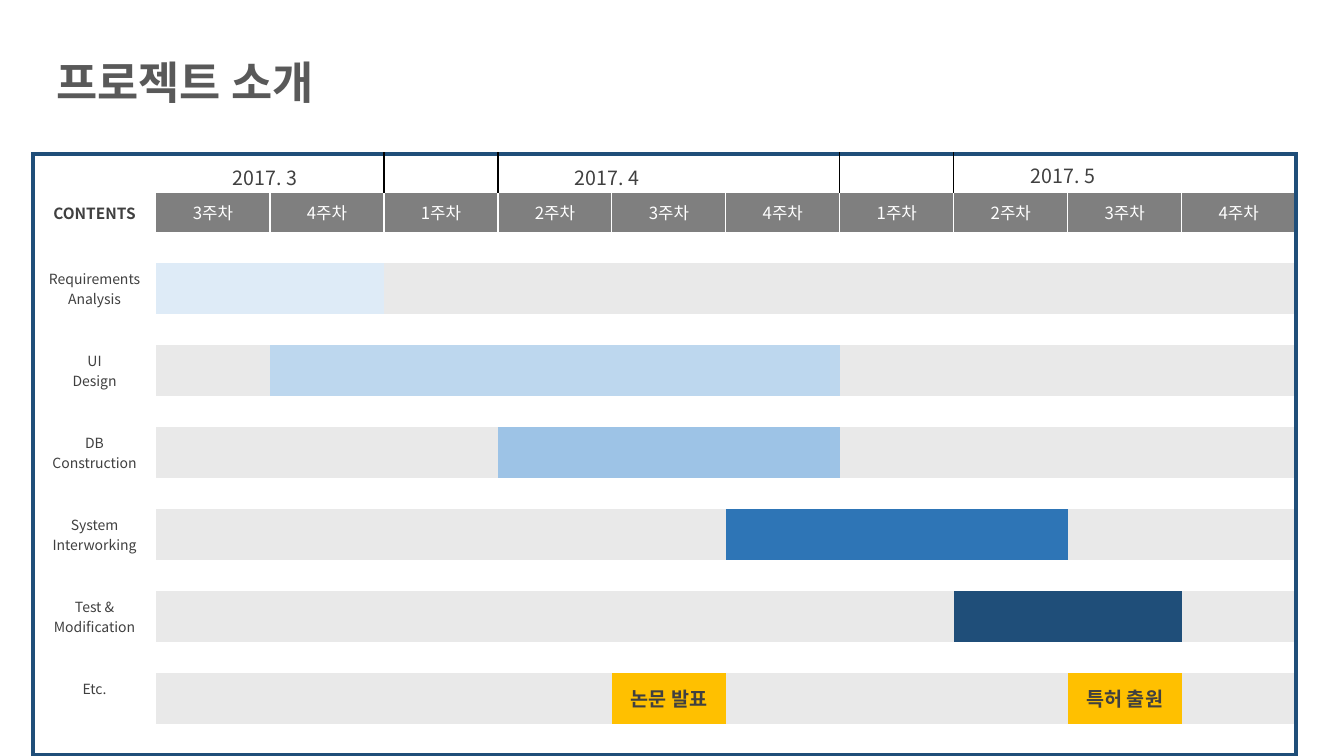
"""Project schedule slide: a ten-week Gantt table under three month labels."""
from lxml import etree
from pptx import Presentation
from pptx import util as u
from pptx.dml.color import RGBColor
from pptx.enum import text
from pptx.oxml import ns

PX = 914400 / 100.8
COLORS = {"navy": "1F4E79", "blue": "2E75B6", "sky": "9DC3E6", "light": "BDD7EE",
          "pale": "DEEBF7", "gold": "FFC000", "track": "E9E9E9", "header": "7F7F7F",
          "white": "FFFFFF", "black": "000000", "ink": "404040", "title": "595959"}
KOREAN = "Noto Sans CJK KR"
WEEKS = ["3주차", "4주차"] + ["1주차", "2주차", "3주차", "4주차"] * 2
TASKS = [(["Requirements", "Analysis"], "pale", range(1, 3)),
         (["UI", "Design"], "light", range(2, 7)),
         (["DB", "Construction"], "sky", range(4, 7)),
         (["System", "Interworking"], "blue", range(6, 9)),
         (["Test & Modification"], "navy", range(8, 10)),
         (["Etc."], "gold", (5, 9))]
MILESTONES = {5: "논문 발표", 9: "특허 출원"}
MONTHS = [("2017. 3", 209, 151), ("2017. 4", 551, 151), ("2017. 5", 1007, 149)]
MONTH_ENDS = (2, 6)
HEADER_H, GAP_H, BAR_H = 39, 31, 51
LABEL_W, WEEK_W = 123, 114


def px(*lengths):
    return [u.Emu(round(n * PX)) for n in lengths]


def write(frame, lines, size, color, bold=False, latin=KOREAN,
          align=text.PP_ALIGN.CENTER, spacing=None):
    for index, line in enumerate(lines):
        paragraph = frame.add_paragraph() if index else frame.paragraphs[0]
        paragraph.alignment = align
        paragraph.line_spacing = spacing
        run = paragraph.add_run()
        run.text = line
        run.font.size = u.Pt(size)
        run.font.bold = bold
        run.font.name = latin
        run.font.color.rgb = RGBColor.from_string(COLORS[color])
        east_asian = etree.SubElement(run.font._element, ns.qn("a:ea"))
        east_asian.set("typeface", KOREAN)


prs = Presentation()
prs.slide_width, prs.slide_height = px(1344, 756)
slide = prs.slides.add_slide(prs.slide_layouts[5])

heading = slide.shapes.title
heading.left, heading.top, heading.width, heading.height = px(46, 28, 307, 81)
heading.text_frame.auto_size = text.MSO_AUTO_SIZE.NONE
heading.text_frame.vertical_anchor = text.MSO_ANCHOR.MIDDLE
write(heading.text_frame, ["프로젝트 소개"], 32, "title", True, "Arial",
      text.PP_ALIGN.LEFT, 1.5)

heights = [HEADER_H] * 2 + [GAP_H, BAR_H] * len(TASKS) + [GAP_H]
widths = [LABEL_W] + [WEEK_W] * len(WEEKS)
last_row, last_col = len(heights) - 1, len(widths) - 1
schedule = slide.shapes.add_table(len(heights), len(widths),
                                  *px(33, 154, sum(widths), sum(heights))).table
schedule.first_row = schedule.horz_banding = False
style = schedule._tbl.tblPr.find(ns.qn("a:tableStyleId"))
style.text = "{2D5ABB26-0587-4C30-8999-92F81FD0307C}"
for column, width in zip(schedule.columns, px(*widths)):
    column.width = width
for row, height in zip(schedule.rows, px(*heights)):
    row.height = height

for r in range(last_row + 1):
    for c in range(last_col + 1):
        cell = schedule.cell(r, c)
        cell.vertical_anchor = text.MSO_ANCHOR.MIDDLE
        fill, lines, size, ink, bold = None, [], 10, "ink", False
        edges = {}
        if r == 0:
            if c in MONTH_ENDS:
                edges["lnR"] = ("black", 1)
            if c - 1 in MONTH_ENDS:
                edges["lnL"] = ("black", 1)
            edges["lnT"] = ("navy", 3)
        elif r == 1 and c == 0:
            lines, size, bold = ["CONTENTS"], 11, True
        elif r == 1:
            fill, lines, size, ink = "header", [WEEKS[c - 1]], 12, "white"
            edges["lnR"] = ("white", 1)
            if c > 1:
                edges["lnL"] = ("white", 1)
        elif r % 2:
            label, bar, span = TASKS[(r - 3) // 2]
            if c == 0:
                lines = label
                if label == ["Etc."]:
                    cell.vertical_anchor = text.MSO_ANCHOR.TOP
            else:
                fill = bar if c in span else "track"
                if bar == "gold" and c in MILESTONES:
                    lines, size, bold = [MILESTONES[c]], 14, True
        if c == 0:
            edges["lnL"] = ("navy", 3)
        if c == last_col:
            edges["lnR"] = ("navy", 3)
        if r == last_row:
            edges["lnB"] = ("navy", 3)

        properties = cell._tc.get_or_add_tcPr()
        for side in ("lnL", "lnR", "lnT", "lnB"):
            if side in edges:
                color, points = edges[side]
                line = etree.SubElement(properties, ns.qn(f"a:{side}"), w=str(u.Pt(points)))
                solid = etree.SubElement(line, ns.qn("a:solidFill"))
                etree.SubElement(solid, ns.qn("a:srgbClr"), val=COLORS[color])
        if fill:
            cell.fill.solid()
            cell.fill.fore_color.rgb = RGBColor.from_string(COLORS[fill])
        else:
            cell.fill.background()

        if lines:
            write(cell.text_frame, lines, size, ink, bold)
        else:
            etree.SubElement(cell.text_frame.paragraphs[0]._p,
                             ns.qn("a:endParaRPr"), sz="800")
        if r == 1 and c or not lines:
            cell.margin_left = cell.margin_right = 0
            cell.margin_top = cell.margin_bottom = 0

for month, left, top in MONTHS:
    month_box = slide.shapes.add_textbox(*px(left, top, 112, 41))
    month_box.text_frame.word_wrap = True
    month_box.text_frame.vertical_anchor = text.MSO_ANCHOR.MIDDLE
    write(month_box.text_frame, [month], 14, "ink", spacing=1.5)

prs.save("out.pptx")
